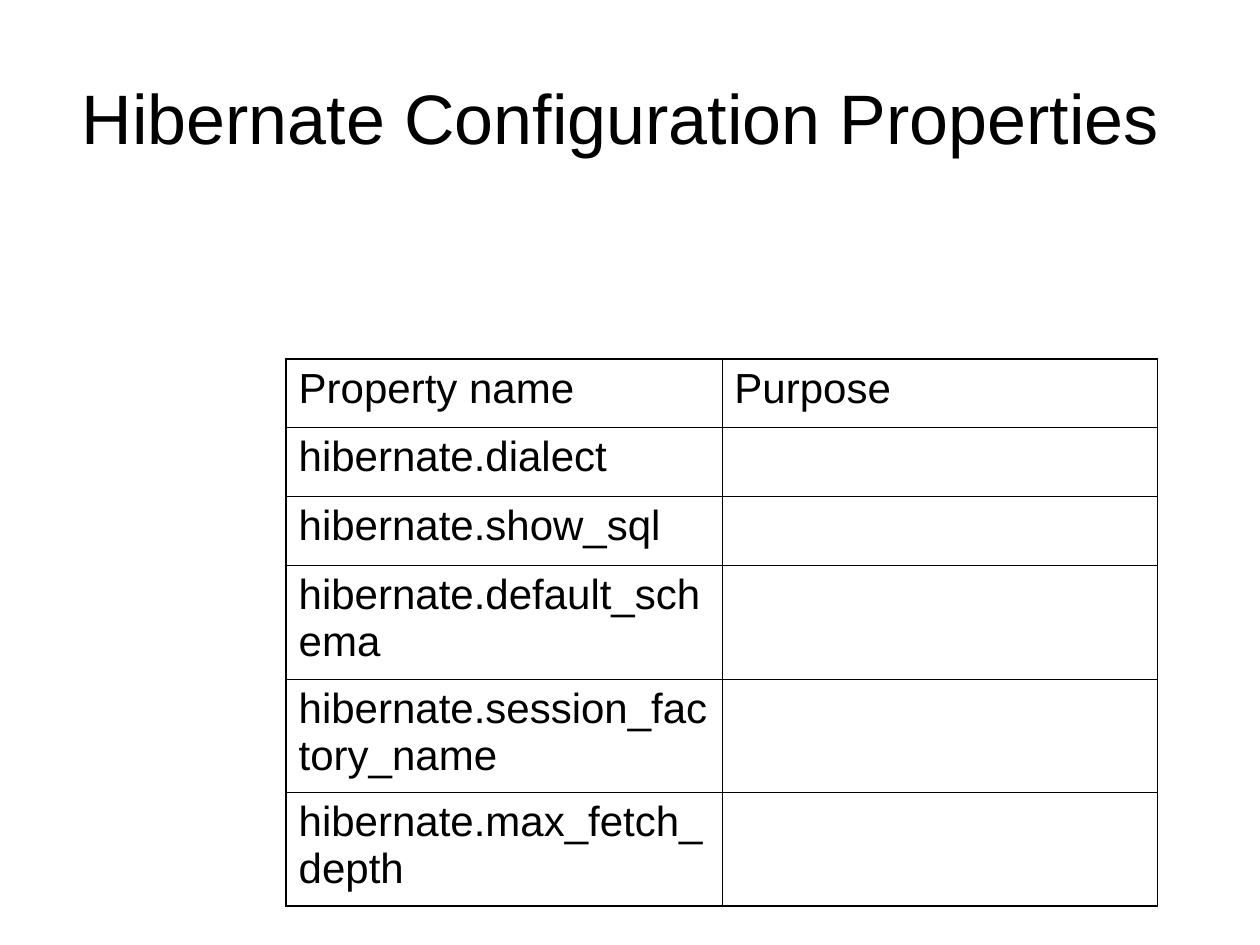
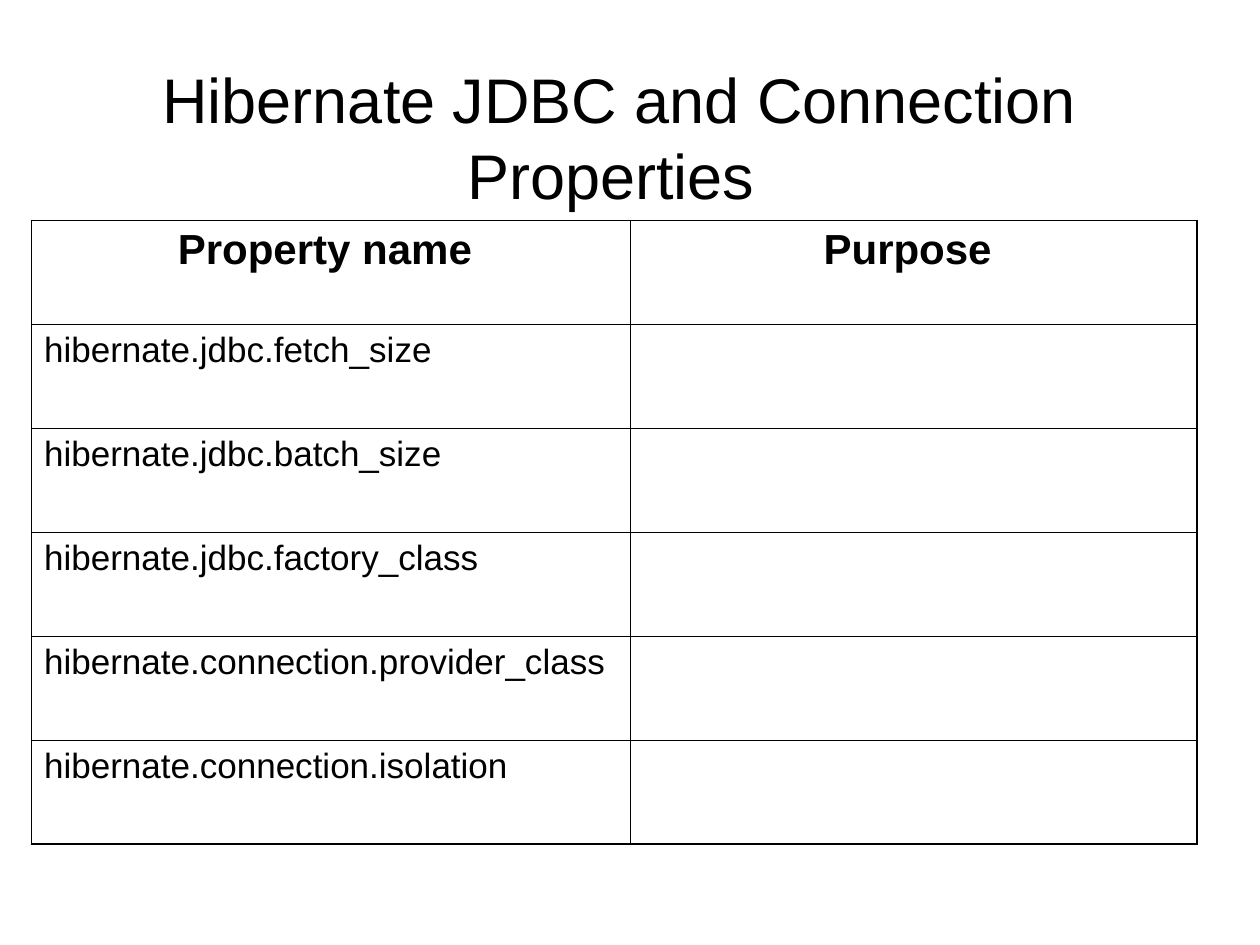
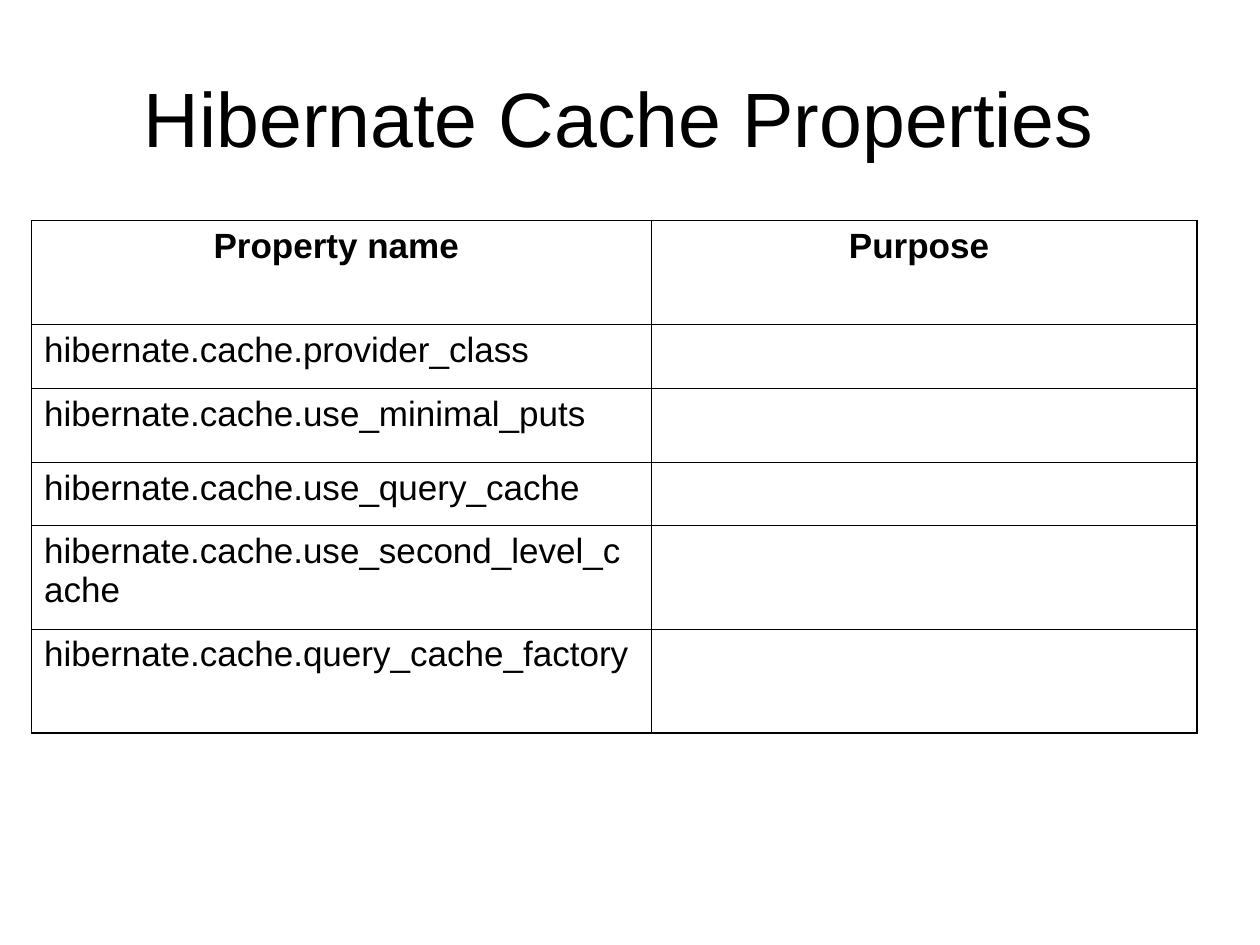
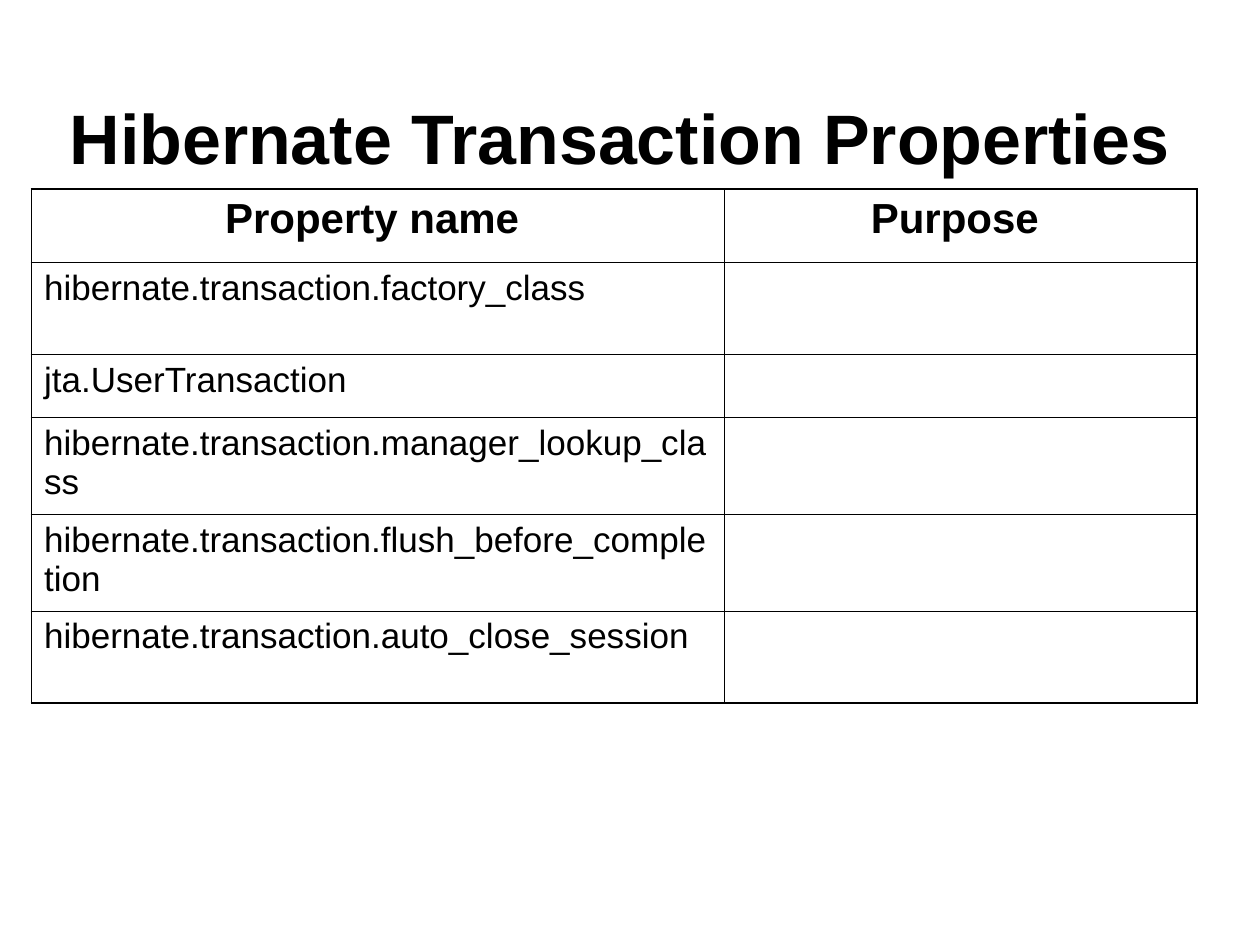
from lxml import etree
from pptx import Presentation
from pptx.dml.color import RGBColor
from pptx.enum.text import MSO_ANCHOR, PP_ALIGN
from pptx.oxml.ns import qn
from pptx.util import Pt

CENTER, LEFT, MIDDLE = PP_ALIGN.CENTER, PP_ALIGN.LEFT, MSO_ANCHOR.MIDDLE
FONT = "Arial"
INK = "000000"
OUTER_LINE, INNER_LINE = 1.08, 0.45

# Boxes are left, top, width, height; all lengths are points.
SLIDES = [
    {
        "title": "Hibernate Configuration Properties ",
        "title_box": (36, 21.6, 648, 90), "title_size": 40, "title_bold": False,
        "header": ("Property name", "Purpose"),
        "header_size": 24, "header_bold": False, "header_align": LEFT, "body_size": 24,
        "corner": (163.5, 205), "columns": (249, 249),
        "rows": [39.4] * 3 + [64.8] * 3,
        "properties": ["hibernate.dialect", "hibernate.show_sql", "hibernate.default_schema",
                       "hibernate.session_factory_name", "hibernate.max_fetch_depth"],
    },
    {
        "title": "Hibernate JDBC and Connection Properties ",
        "title_box": (12, 48, 684, 60), "title_size": 36, "title_bold": False,
        "header": ("Property name ", "Purpose "),
        "header_size": 24, "header_bold": True, "header_align": CENTER, "body_size": 20,
        "corner": (18, 126), "columns": (342, 324),
        "rows": [59.4] * 6,
        "properties": ["hibernate.jdbc.fetch_size", "hibernate.jdbc.batch_size",
                       "hibernate.jdbc.factory_class", "hibernate.connection.provider_class",
                       "hibernate.connection.isolation"],
    },
    {
        "title": "Hibernate Cache Properties ",
        "title_box": (36, 21.6, 648, 90), "title_size": 44, "title_bold": False,
        "header": ("Property name ", "Purpose "),
        "header_size": 20, "header_bold": True, "header_align": CENTER, "body_size": 20,
        "corner": (18, 126), "columns": (354, 312),
        "rows": [59.4, 36.6, 42.2, 36.2, 59, 59.4],
        "properties": ["hibernate.cache.provider_class", "hibernate.cache.use_minimal_puts",
                       "hibernate.cache.use_query_cache",
                       "hibernate.cache.use_second_level_cache",
                       "hibernate.cache.query_cache_factory"],
    },
    {
        "title": "Hibernate Transaction Properties ",
        "title_box": (30, 48, 648, 60), "title_size": 40, "title_bold": True,
        "header": ("Property name ", "Purpose "),
        "header_size": 24, "header_bold": True, "header_align": CENTER, "body_size": 20,
        "corner": (18, 108), "columns": (396, 270),
        "rows": [41.8, 52.6, 36, 55.4, 55.4, 52.6],
        "properties": ["hibernate.transaction.factory_class", "jta.UserTransaction",
                       "hibernate.transaction.manager_lookup_class",
                       "hibernate.transaction.flush_before_completion",
                       "hibernate.transaction.auto_close_session"],
    },
]


def write(frame, text, size, bold, align, space_before=0):
    paragraph = frame.paragraphs[0]
    paragraph.alignment = align
    paragraph.space_before = Pt(space_before)
    run = paragraph.add_run()
    run.text = text
    for attribute, value in {"name": FONT, "size": Pt(size), "bold": bold}.items():
        setattr(run.font, attribute, value)
    run.font.color.rgb = RGBColor.from_string(INK)


def draw_border(cell, side, width):
    line = etree.SubElement(cell._tc.get_or_add_tcPr(), qn(f"a:ln{side}"), w=str(Pt(width)))
    fill = etree.SubElement(line, qn("a:solidFill"))
    etree.SubElement(fill, qn("a:srgbClr"), val=INK)


deck = Presentation()
deck.slide_width, deck.slide_height = Pt(720), Pt(540)
blank = deck.slide_layouts[6]

for content in SLIDES:
    slide = deck.slides.add_slide(blank)
    title = slide.shapes.add_textbox(*map(Pt, content["title_box"])).text_frame
    title.word_wrap = True
    title.vertical_anchor = MIDDLE
    write(title, content["title"], content["title_size"], content["title_bold"], CENTER)

    columns, rows = content["columns"], content["rows"]
    table_box = (*content["corner"], sum(columns), sum(rows))
    table = slide.shapes.add_table(len(rows), len(columns), *map(Pt, table_box)).table
    table.first_row = table.horz_banding = False
    for column, width in zip(table.columns, columns):
        column.width = Pt(width)
    for row, height in zip(table.rows, rows):
        row.height = Pt(height)

    for index, heading in enumerate(content["header"]):
        size = content["header_size"]
        write(table.cell(0, index).text_frame, heading, size, content["header_bold"],
              content["header_align"], size / 4)
    for index, name in enumerate(content["properties"], start=1):
        size = content["body_size"]
        write(table.cell(index, 0).text_frame, name, size, False, LEFT, size / 4)

    for r in range(len(rows)):
        for c in range(len(columns)):
            cell = table.cell(r, c)
            on_edge = {"L": c == 0, "R": c == len(columns) - 1,
                       "T": r == 0, "B": r == len(rows) - 1}
            for side, outer in on_edge.items():
                draw_border(cell, side, OUTER_LINE if outer else INNER_LINE)
            cell.fill.background()

deck.save("out.pptx")
